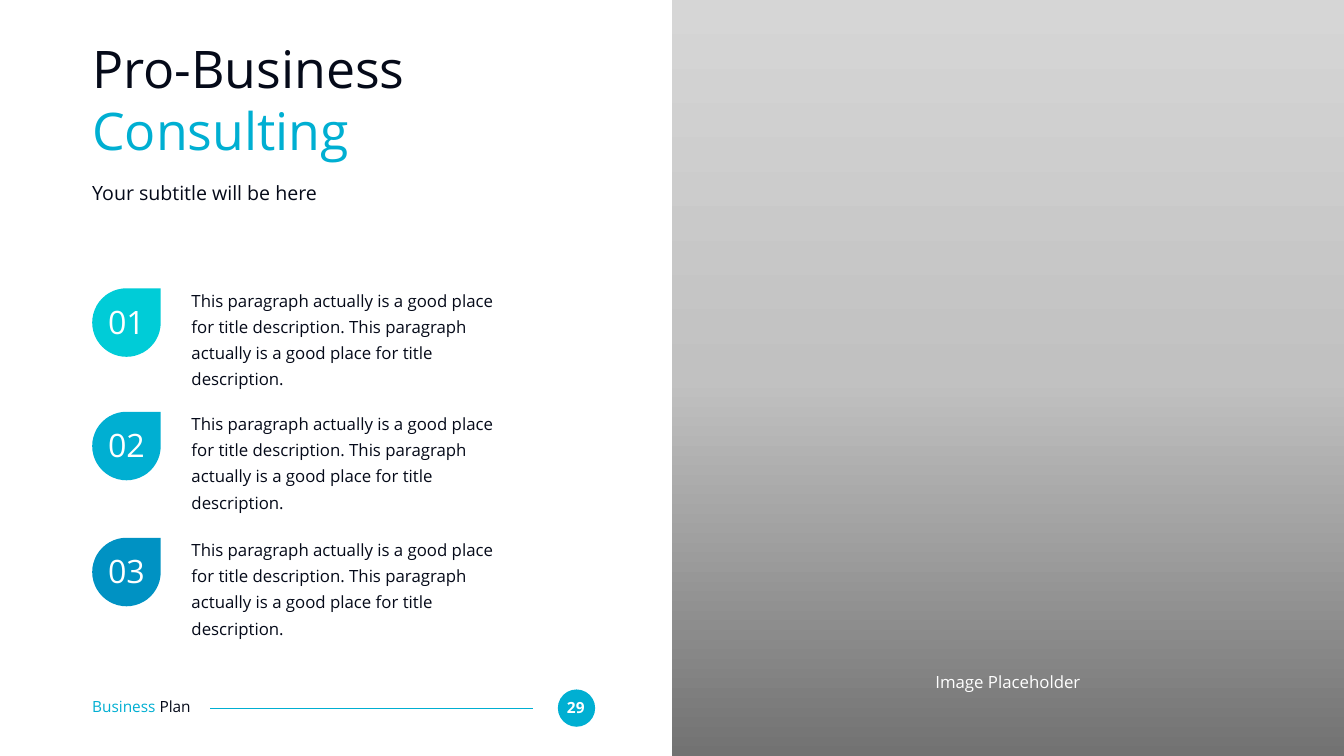
from pptx import Presentation
from pptx.dml.color import RGBColor
from pptx.enum.shapes import MSO_CONNECTOR, MSO_SHAPE
from pptx.enum.text import PP_ALIGN
from pptx.oxml.ns import qn
from pptx.util import Pt
from lxml import etree

PX = 9144
LEFT, CENTER = PP_ALIGN.LEFT, PP_ALIGN.CENTER
INK, CYAN, WHITE = "050A19", "00AFD2", "FFFFFF"
DESCRIPTION = ("This paragraph actually is a good place for title description. "
               "This paragraph actually is a good place for title description.")

deck = Presentation()
deck.slide_width, deck.slide_height = 2667 * PX, 1500 * PX
page = deck.slides.add_slide(deck.slide_layouts[6])


def add_text(left, top, width, height, runs, size, align=LEFT, spacing=1.0, bold=False):
    box = page.shapes.add_textbox(left * PX, top * PX, width * PX, height * PX)
    frame = box.text_frame
    frame.word_wrap = True
    frame.margin_left = frame.margin_right = frame.margin_top = frame.margin_bottom = 0
    para = frame.paragraphs[0]
    para.alignment, para.line_spacing = align, spacing
    for text, color in runs:
        span = para.add_run()
        span.text = text
        span.font.name, span.font.size, span.font.bold = "Open Sans", Pt(size), bold
        span.font.color.rgb = RGBColor.from_string(color)


def add_filled(kind, left, top, width, height, color):
    shape = page.shapes.add_shape(kind, left * PX, top * PX, width * PX, height * PX)
    shape.shadow.inherit = False
    shape.line.fill.background()
    shape.fill.solid()
    shape.fill.fore_color.rgb = RGBColor.from_string(color)
    return shape


add_filled(MSO_SHAPE.OVAL, 1107, 1368, 74, 74, CYAN)
add_text(1113, 1385, 59, 37, [("29", WHITE)], 22, CENTER, bold=True)
rule = page.shapes.add_connector(MSO_CONNECTOR.STRAIGHT, 1057 * PX, 1405 * PX, 416 * PX, 1405 * PX)
rule.line.color.rgb = RGBColor.from_string(CYAN)
rule.line.width = Pt(1.5)
etree.SubElement(rule._element.spPr, qn("a:effectLst"))
add_text(183, 1384, 259, 37, [("Business ", CYAN), ("Plan", INK)], 22)

add_text(183, 73, 990, 252, [("Pro-Business ", INK), ("Consulting", CYAN)], 74)
add_text(183, 359, 990, 49, [("Your subtitle will be here", INK)], 28)

steps = [("01", 564, "00CCD7"), ("02", 809, CYAN), ("03", 1059, "0092C3")]
for number, top, color in steps:
    add_text(380, top, 628, 153, [(DESCRIPTION, INK)], 24, spacing=1.3)
    add_filled(MSO_SHAPE.TEAR, 183, top + 8, 136, 136, color)
    add_text(196, top + 35, 110, 77, [(number, WHITE)], 46, CENTER)

panel = add_filled(MSO_SHAPE.RECTANGLE, 1333, 0, 1334, 1500, "C1C1C1")
panel.fill.gradient()
panel.fill.gradient_angle = 90
stops = panel.fill._fill._gradFill.find(qn("a:gsLst"))
for stop in list(stops):
    stops.remove(stop)
for percent, color in [(0, "727272"), (50, "C1C1C1"), (100, "D6D6D6")]:
    stop = etree.SubElement(stops, qn("a:gs"), pos=str(percent * 1000))
    etree.SubElement(stop, qn("a:srgbClr"), val=color)
add_text(1648, 1332, 704, 40, [("Image Placeholder", WHITE)], 24, CENTER)

deck.save("out.pptx")
